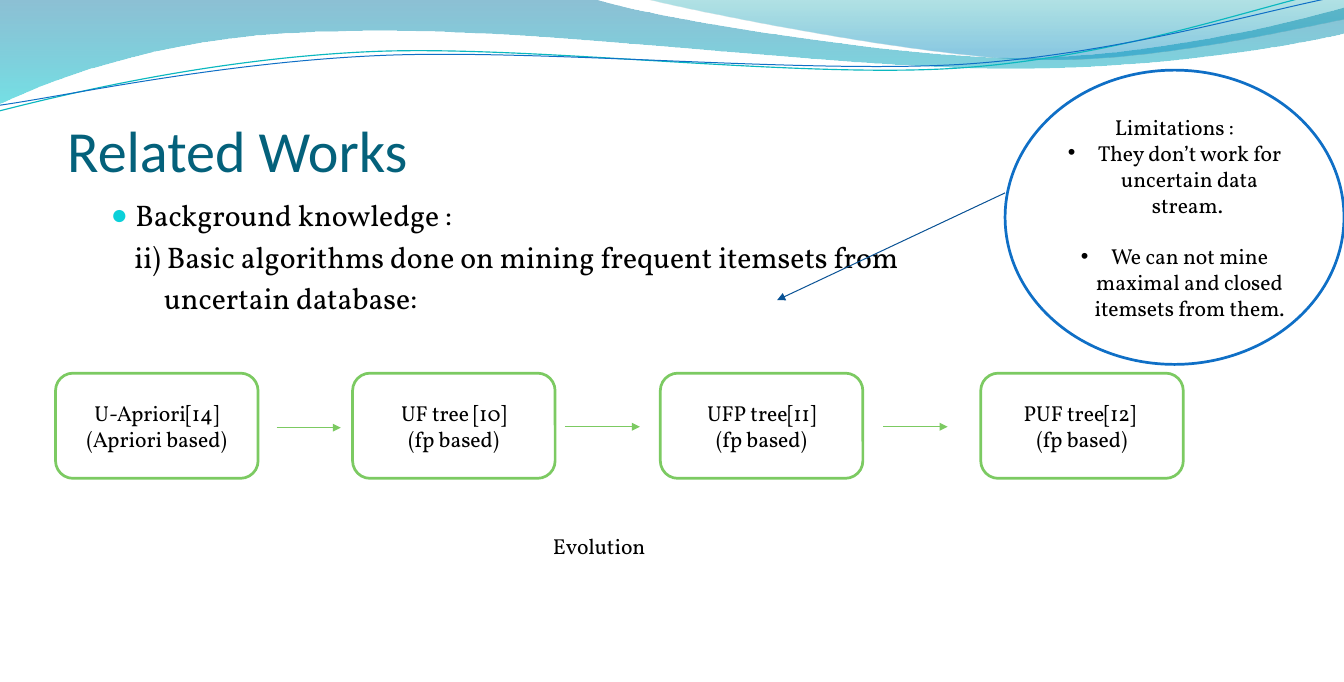
"""Build the Related Works slide with its chain of mining algorithms."""
from dataclasses import dataclass
from typing import NamedTuple

from lxml.etree import Element, SubElement
from pptx import Presentation
from pptx.dml.color import RGBColor
from pptx.enum.shapes import MSO_CONNECTOR, MSO_SHAPE
from pptx.enum.text import MSO_ANCHOR, MSO_AUTO_SIZE, PP_ALIGN
from pptx.oxml.ns import qn
from pptx.util import Inches, Pt


@dataclass(frozen=True)
class Theme:
    """Colours, fonts and type sizes of the deck."""
    title_font: str = "Calibri"
    text_font: str = "Vollkorn"
    title_size: float = 43
    body_size: float = 22
    label_size: float = 16
    label_line: float = 19.1
    title: str = "04617B"
    ink: str = "000000"
    paper: str = "FFFFFF"
    bullet: str = "0BD0D9"
    green: str = "7CCA62"
    blue: str = "0F6FC6"
    navy: str = "095295"
    teal: str = "0AB8BF"


class Area(NamedTuple):
    """A rectangle in grid columns and rows."""
    column: float
    row: float
    columns: float
    rows: float


class Stop(NamedTuple):
    """A gradient stop with its opacity in percent."""
    position: float
    colour: str
    opacity: int


class Wave(NamedTuple):
    """An outline made of straight steps (2 numbers) and curves (6 numbers)."""
    start: tuple
    steps: list
    stops: tuple = ()
    colour: str = ""
    weight: float = 0


class Stage(NamedTuple):
    """An algorithm in the chain."""
    column: float
    name: str
    basis: str


class Arrow(NamedTuple):
    """An arrow between two grid points."""
    start: tuple
    end: tuple
    colour: str


THEME = Theme()
COLUMNS, ROWS = 138, 70
CELL = Inches(0.1)

WAVES = [
    Wave((0, 0), [(60.8, -0.1), (65.6, 1.6, 91.6, 5.9, 104.7, 5.9),
                  (117.7, 5.9, 132.3, 2.4, 138, 0.8), (138.1, 3.4),
                  (135.7, 4.1, 120, 7.1, 102.9, 7), (85.8, 7, 52.7, 2.6, 35.5, 3.2),
                  (17.8, 3.3, 6.3, 7.7, -0.1, 10.6)],
         stops=(Stop(0, "0074A1", 45), Stop(1, "00C6CF", 55))),
    Wave((66.1, -0.1), [(70.3, 1, 94.1, 5.8, 106.1, 6.1),
                        (118.1, 6.4, 132.7, 3, 138, 2), (138, 0)],
         stops=(Stop(0, "00A1A9", 30), Stop(0.8, "008BBF", 45))),
    Wave((-0.1, 11.4), [(6.6, 9.7, 21.8, 6, 38.2, 5.3), (54.6, 4.6, 81.7, 8.1, 98.3, 7),
                        (114.9, 5.9, 129.5, 0.5, 137.8, -1.2)],
         colour=THEME.teal, weight=0.85),
    Wave((0, 10.8), [(6.5, 9.9, 22.6, 6.4, 39.1, 5.7), (55.6, 5, 82.4, 7.6, 98.9, 6.6),
                     (115.4, 5.5, 129.9, 1, 138.1, -0.5)],
         colour=THEME.blue, weight=0.75),
]
STAGES = [
    Stage(5.7, "U-Apriori[14]", "(Apriori based)"),
    Stage(36.2, "UF tree [10]", "(fp based)"),
    Stage(67.8, "UFP tree[11]", "(fp based)"),
    Stage(100.7, "PUF tree[12] ", "(fp based)"),
]
ARROWS = [Arrow((left, row), (right, row), THEME.green)
          for left, right, row in ((28.4, 35, 43.9), (58, 65.7, 43.8), (90.7, 97.3, 43.8))]
ARROWS.append(Arrow((103.2, 19.8), (79.8, 30.8), THEME.navy))


def cells(*counts: float) -> list:
    """Turn grid counts into slide lengths."""
    return [round(count * CELL) for count in counts]


def rgb(colour: str) -> RGBColor:
    """Read a hexadecimal colour."""
    return RGBColor.from_string(colour)


def write(frame, text: str, *, size: float = THEME.label_size, font: str = THEME.text_font,
          colour: str = THEME.ink, align=PP_ALIGN.LEFT, margin: float = 0, hang: float = 0,
          before: float = 0, bullet: str = "", bullet_colour: str = THEME.ink,
          bullet_size: int = 100) -> None:
    """Add one formatted paragraph to a text frame."""
    para = frame.paragraphs[0] if not frame.text else frame.add_paragraph()
    para.alignment, para.space_before = align, Pt(before)
    span = para.add_run()
    span.text = text
    span.font.size, span.font.name = Pt(size), font
    span.font.color.rgb = rgb(colour)
    properties = para._p.get_or_add_pPr()
    properties.set("marL", str(cells(margin)[0]))
    properties.set("indent", str(cells(-hang)[0]))
    if bullet:
        tint = SubElement(properties, qn("a:buClr"))
        SubElement(tint, qn("a:srgbClr"), val=bullet_colour)
        SubElement(properties, qn("a:buSzPct"), val=str(bullet_size * 1000))
        SubElement(properties, qn("a:buFont"), typeface="Arial")
        SubElement(properties, qn("a:buChar"), char=bullet)


def bend(shape, steps: list) -> None:
    """Join each three line segments of a curved step into one cubic curve."""
    segments = iter(list(shape._element.iter(qn("a:lnTo"))))
    for step in steps:
        group = [next(segments) for _ in range(len(step) // 2)]
        if len(group) == 3:
            curve = Element(qn("a:cubicBezTo"))
            group[0].addprevious(curve)
            for segment in group:
                curve.append(segment[0])
                segment.getparent().remove(segment)


def draw_wave(page, wave: Wave) -> None:
    """Draw a header wave as a gradient area or a thin line."""
    points = [step[index:index + 2] for step in wave.steps for index in range(0, len(step), 2)]
    builder = page.shapes.build_freeform(*cells(*wave.start), scale=1.0)
    builder.add_line_segments([cells(*point) for point in points], close=bool(wave.stops))
    shape = builder.convert_to_shape()
    bend(shape, wave.steps)
    shape.shadow.inherit = False
    if not wave.stops:
        shape.fill.background()
        shape.line.color.rgb, shape.line.width = rgb(wave.colour), Pt(wave.weight)
        return
    shape.line.fill.background()
    shape.fill.gradient()
    shape.fill.gradient_angle = 270
    for target, stop in zip(shape.fill.gradient_stops, wave.stops):
        target.position, target.color.rgb = stop.position, rgb(stop.colour)
    for tint, stop in zip(shape._element.spPr.iter(qn("a:srgbClr")), wave.stops):
        SubElement(tint, qn("a:alpha"), val=str(stop.opacity * 1000))


def draw_panel(page, kind, area: Area, colour: str):
    """Draw an outlined white shape and return its text frame."""
    shape = page.shapes.add_shape(kind, *cells(*area))
    shape.shadow.inherit = False
    shape.fill.solid()
    shape.fill.fore_color.rgb = rgb(THEME.paper)
    shape.line.color.rgb, shape.line.width = rgb(colour), Pt(2)
    shape.text_frame.vertical_anchor = MSO_ANCHOR.MIDDLE
    return shape.text_frame


def draw_arrow(page, arrow: Arrow) -> None:
    """Draw a thin arrow."""
    line = page.shapes.add_connector(MSO_CONNECTOR.STRAIGHT, *cells(*arrow.start, *arrow.end))
    line.line.color.rgb, line.line.width = rgb(arrow.colour), Pt(0.75)
    SubElement(line.line._get_or_add_ln(), qn("a:tailEnd"), type="triangle")
    SubElement(line._element.spPr, qn("a:effectLst"))


def add_text(page, area: Area):
    """Add a wrapping text box and return its frame."""
    frame = page.shapes.add_textbox(*cells(*area)).text_frame
    frame.word_wrap = True
    return frame


def build() -> None:
    """Build and save the deck."""
    deck = Presentation()
    deck.slide_width, deck.slide_height = cells(COLUMNS, ROWS)
    page = deck.slides.add_slide(deck.slide_layouts[5])
    for wave in WAVES:
        draw_wave(page, wave)

    title = page.shapes.title
    page.shapes._spTree.append(title._element)
    title.left, title.top, title.width, title.height = cells(6.9, 7.2, 124.2, 11.7)
    frame = title.text_frame
    frame.auto_size, frame.vertical_anchor = MSO_AUTO_SIZE.NONE, MSO_ANCHOR.BOTTOM
    frame.margin_left = frame.margin_right = frame.margin_bottom = 0
    frame.margin_top = cells(0.4)[0]
    write(frame, "Related Works", size=THEME.title_size, font=THEME.title_font,
          colour=THEME.title)

    body = add_text(page, Area(10.5, 19.8, 117, 48.6))
    body.margin_left = body.margin_right = cells(0.8)[0]
    body.margin_top = body.margin_bottom = cells(0.4)[0]
    lead = {"size": THEME.body_size, "before": THEME.body_size * 0.2}
    write(body, "Background knowledge :", margin=2.6, hang=2.5, bullet="●",
          bullet_colour=THEME.bullet, bullet_size=95, **lead)
    write(body, "ii) Basic algorithms done on mining frequent itemsets from ", margin=2.5, **lead)
    write(body, "uncertain database:", margin=5.55, **lead)

    for stage in STAGES:
        box = draw_panel(page, MSO_SHAPE.ROUNDED_RECTANGLE,
                         Area(stage.column, 38.3, 20.8, 10.8), THEME.green)
        for text in (stage.name, stage.basis):
            write(box, text, align=PP_ALIGN.CENTER)
    write(add_text(page, Area(55.8, 54.2, 20.7, 3.7)), "Evolution")

    limits = draw_panel(page, MSO_SHAPE.OVAL, Area(103.2, 7.2, 34.8, 30.2), THEME.blue)
    write(limits, "Limitations :", align=PP_ALIGN.CENTER)
    for text, gap in (("They don’t work for uncertain data stream. ", 0),
                      ("We can not mine maximal and closed itemsets from them.",
                       THEME.label_line)):
        write(limits, text, align=PP_ALIGN.CENTER, margin=3.1, hang=3.1, before=gap, bullet="•")
    for arrow in ARROWS:
        draw_arrow(page, arrow)
    deck.save("out.pptx")


build()
